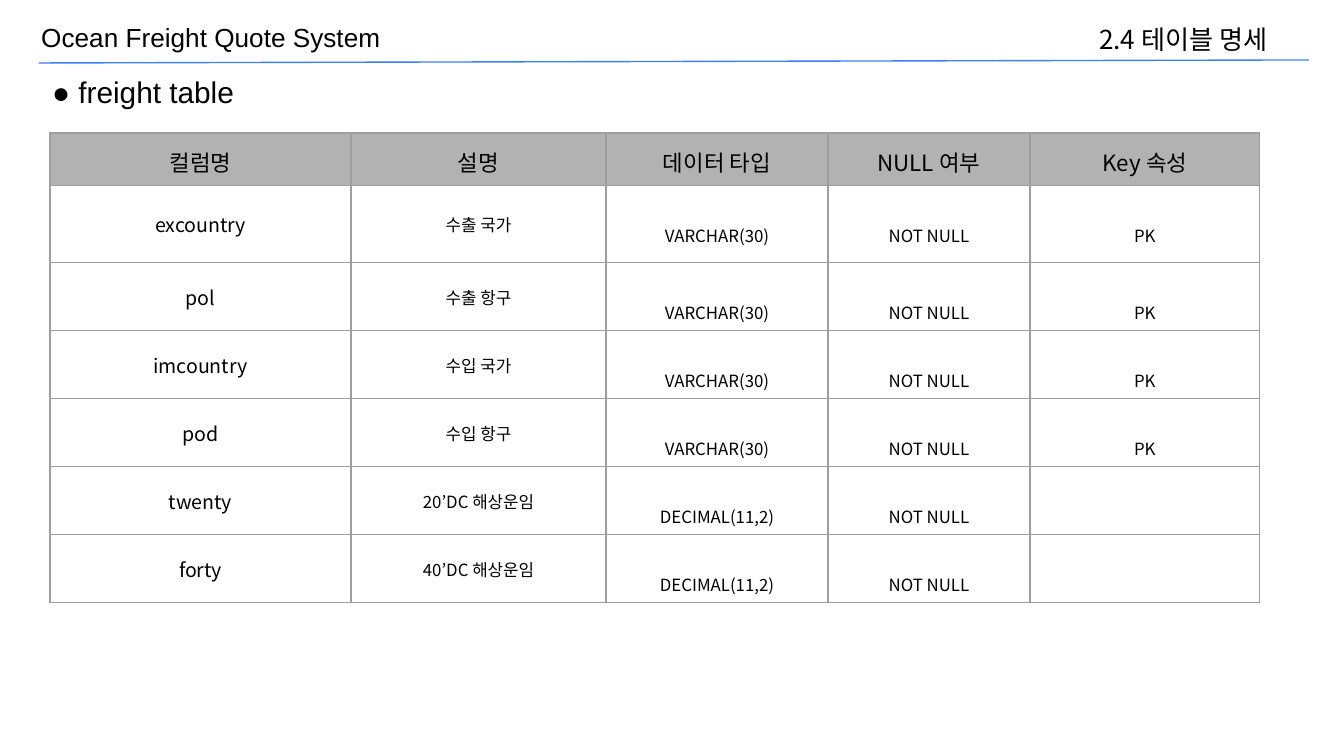
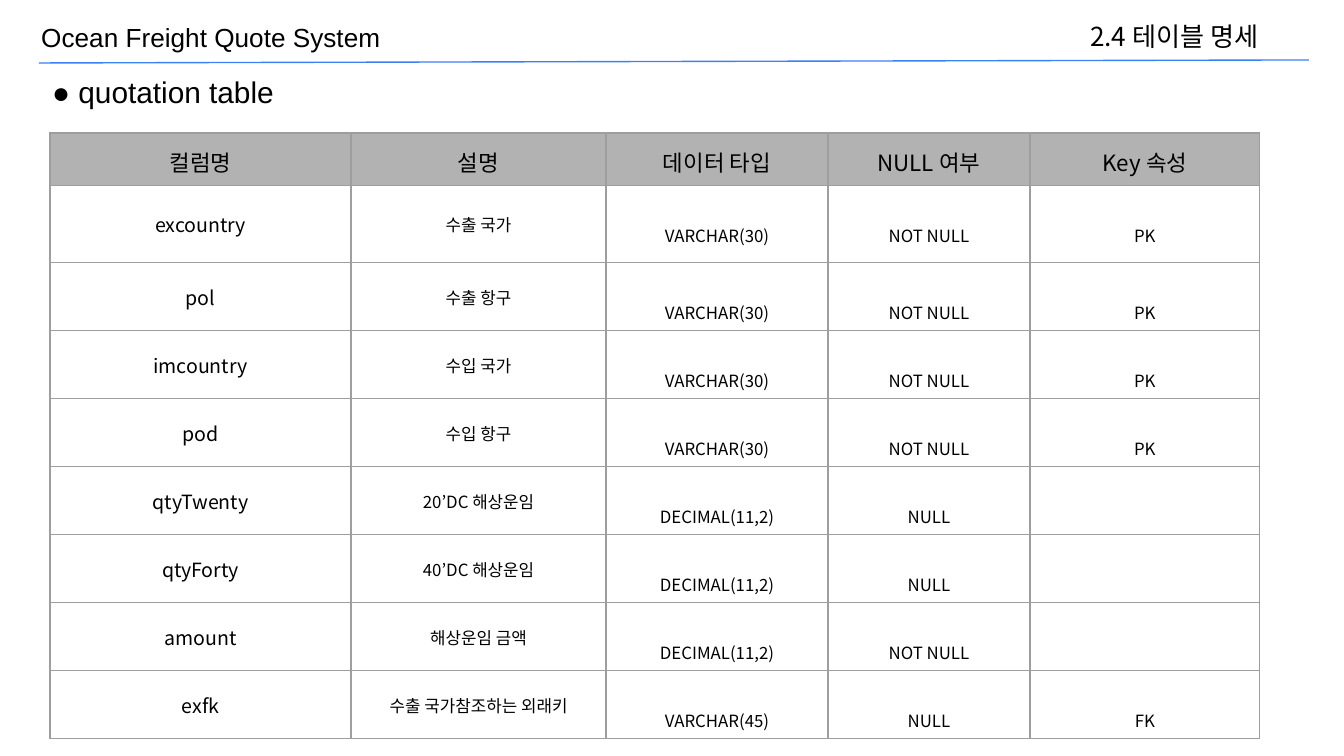
from lxml.etree import SubElement as Sub
from pptx import Presentation
from pptx.dml.color import RGBColor
from pptx.enum.shapes import MSO_CONNECTOR as Link
from pptx.enum.text import MSO_ANCHOR as Anchor, MSO_AUTO_SIZE as Auto, PP_ALIGN as Align
from pptx.oxml.ns import qn
from pptx.util import Pt

SCALE = 914400 / 134.4
BLACK, BLUE, GRAY, EDGE = "000000", "3C81F3", "B2B2B2", "9E9E9E"
SANS, KOREAN = "Arial", "Noto Sans CJK KR"
PAD = 13
COLS = [301, 255, 222, 202, 230]
HEAD_H, FIRST_H, ROW_H = 48, 77, 68

HEADS = ["컬럼명", "설명", "데이터 타입", "NULL 여부", "Key 속성"]
TEXT, MONEY = "VARCHAR(30)", "DECIMAL(11,2)"
PORTS = [
    ["excountry", "수출 국가", TEXT, "NOT NULL", "PK"],
    ["pol", "수출 항구", TEXT, "NOT NULL", "PK"],
    ["imcountry", "수입 국가", TEXT, "NOT NULL", "PK"],
    ["pod", "수입 항구", TEXT, "NOT NULL", "PK"],
]
FREIGHT = PORTS + [
    ["twenty", "20’DC 해상운임", MONEY, "NOT NULL", ""],
    ["forty", "40’DC 해상운임", MONEY, "NOT NULL", ""],
]
QUOTES = PORTS + [
    ["qtyTwenty", "20’DC 해상운임", MONEY, "NULL", ""],
    ["qtyForty", "40’DC 해상운임", MONEY, "NULL", ""],
    ["amount", "해상운임 금액", MONEY, "NOT NULL", ""],
    ["exfk", "수출 국가참조하는 외래키", "VARCHAR(45)", "NULL", "FK"],
]


def px(n):
    return round(n * SCALE)


def color(code):
    return RGBColor.from_string(code)


def style(para, size, face, align=Align.LEFT, gap=None):
    """Format a paragraph, with the same face for Latin and Korean."""
    para.alignment = align
    if gap:
        para.line_spacing = gap
    font = para.font
    font.size, font.name, font.bold = Pt(size), face, False
    font.color.rgb = color(BLACK)
    Sub(para._p.pPr.find(qn("a:defRPr")), qn("a:ea"), typeface=face)


def pad(item):
    item.margin_left = item.margin_right = px(PAD)
    item.margin_top = item.margin_bottom = px(PAD)


def label(slide, box, text, size):
    frame = slide.shapes.add_textbox(*map(px, box)).text_frame
    frame.word_wrap = False
    frame.auto_size = Auto.SHAPE_TO_FIT_TEXT
    frame.text = text
    style(frame.paragraphs[0], size, SANS)


def band(slide, box):
    """Draw the system name and the rule below it."""
    x, y, w, h = box
    label(slide, (x - 11, y, 368, 46), "Ocean Freight Quote System", 14)
    ends = x, y + h, x + w, y + h - 3
    rule = slide.shapes.add_connector(Link.STRAIGHT, *map(px, ends))
    rule.line.color.rgb = color(BLUE)
    rule.line.width = Pt(0.75)
    Sub(rule._element.spPr, qn("a:effectLst"))


def title(slide, box, text):
    shape = slide.shapes.title
    shape.left, shape.top, shape.width, shape.height = map(px, box)
    frame = shape.text_frame
    frame.text = text
    frame.word_wrap = True
    frame.auto_size = Auto.NONE
    frame.vertical_anchor = Anchor.TOP
    pad(frame)
    style(frame.paragraphs[0], 14, KOREAN, gap=0.8)


def border(cell):
    props = cell._tc.get_or_add_tcPr()
    for side in "LRTB":
        line = Sub(props, qn(f"a:ln{side}"), w=str(Pt(0.75)))
        Sub(Sub(line, qn("a:solidFill")), qn("a:srgbClr"), val=EDGE)


def fill(cell, text, row, col):
    """Write a cell in the manner of its row and column."""
    cell.text = text
    pad(cell)
    border(cell)
    para = cell.text_frame.paragraphs[0]
    if row == 0:
        cell.fill.solid()
        cell.fill.fore_color.rgb = color(GRAY)
        style(para, 12, KOREAN, Align.CENTER)
        return
    cell.fill.background()
    if col < 2:
        cell.vertical_anchor = Anchor.MIDDLE
        style(para, 9 if col else 10.5, KOREAN, Align.CENTER)
    else:
        style(para, 9, KOREAN, Align.CENTER, gap=2)


def grid(slide, x, y, rows):
    tall = [HEAD_H, FIRST_H] + [ROW_H] * (len(rows) - 1)
    box = x, y, sum(COLS), sum(tall)
    table = slide.shapes.add_table(len(tall), len(COLS), *map(px, box)).table
    table.horz_banding = False
    for col, w in zip(table.columns, COLS):
        col.width = px(w)
    for row, h in zip(table.rows, tall):
        row.height = px(h)
    for r, texts in enumerate([HEADS] + rows):
        for c, text in enumerate(texts):
            fill(table.cell(r, c), text, r, c)


def page(deck, name, wide, spot, rows):
    slide = deck.slides.add_slide(deck.slide_layouts[5])
    band(slide, (39, 15, 1270, 48))
    grid(slide, 50, 133, rows)
    title(slide, (*spot, 233, 48), "2.4 테이블 명세")
    label(slide, (39, 67, wide, 50), f"● {name} table", 16)


def main():
    deck = Presentation()
    deck.slide_width, deck.slide_height = px(1344), px(756)
    page(deck, "freight", 220, (1086, 16), FREIGHT)
    page(deck, "quotation", 259, (1077, 13), QUOTES)
    deck.save("out.pptx")


if __name__ == "__main__":
    main()
